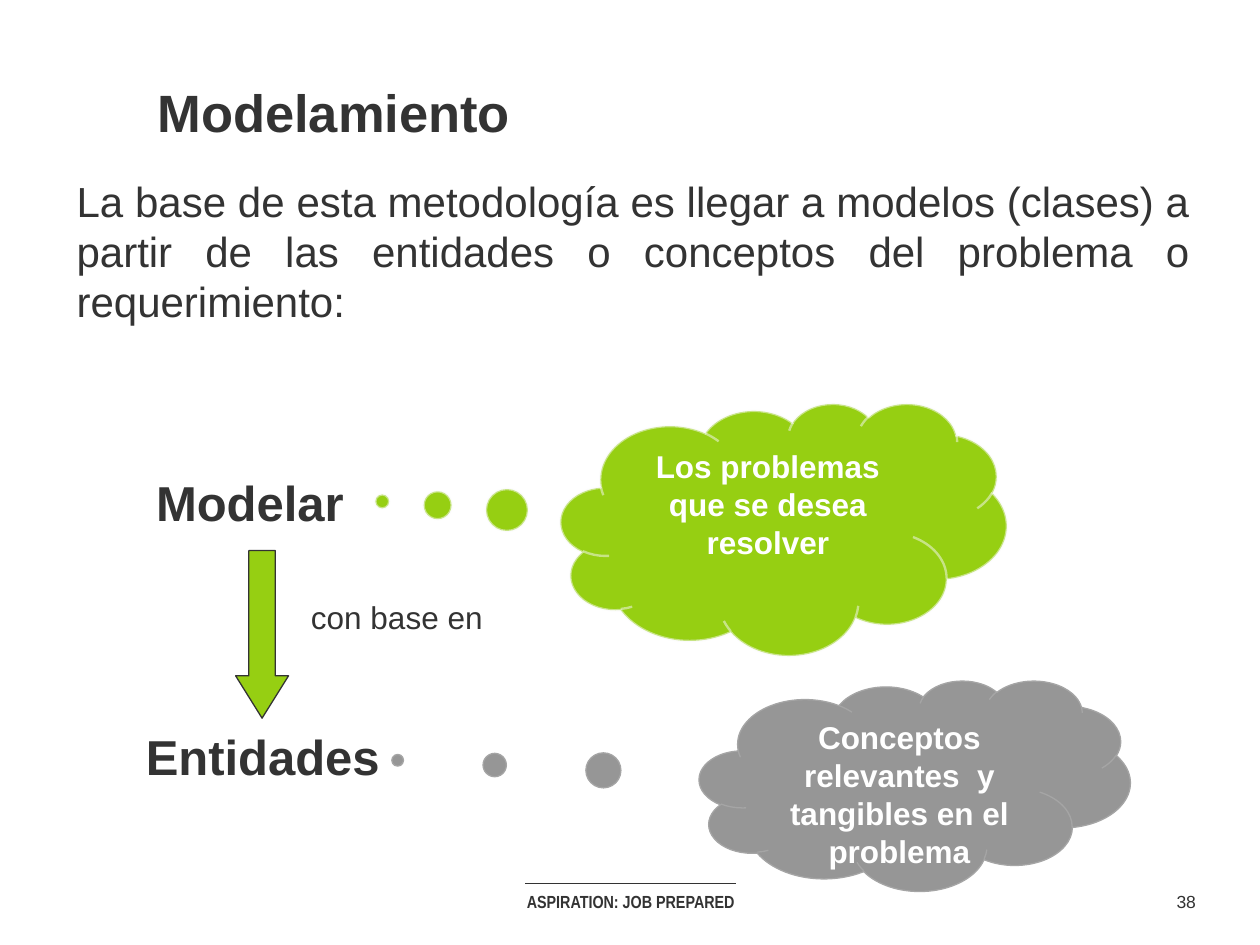
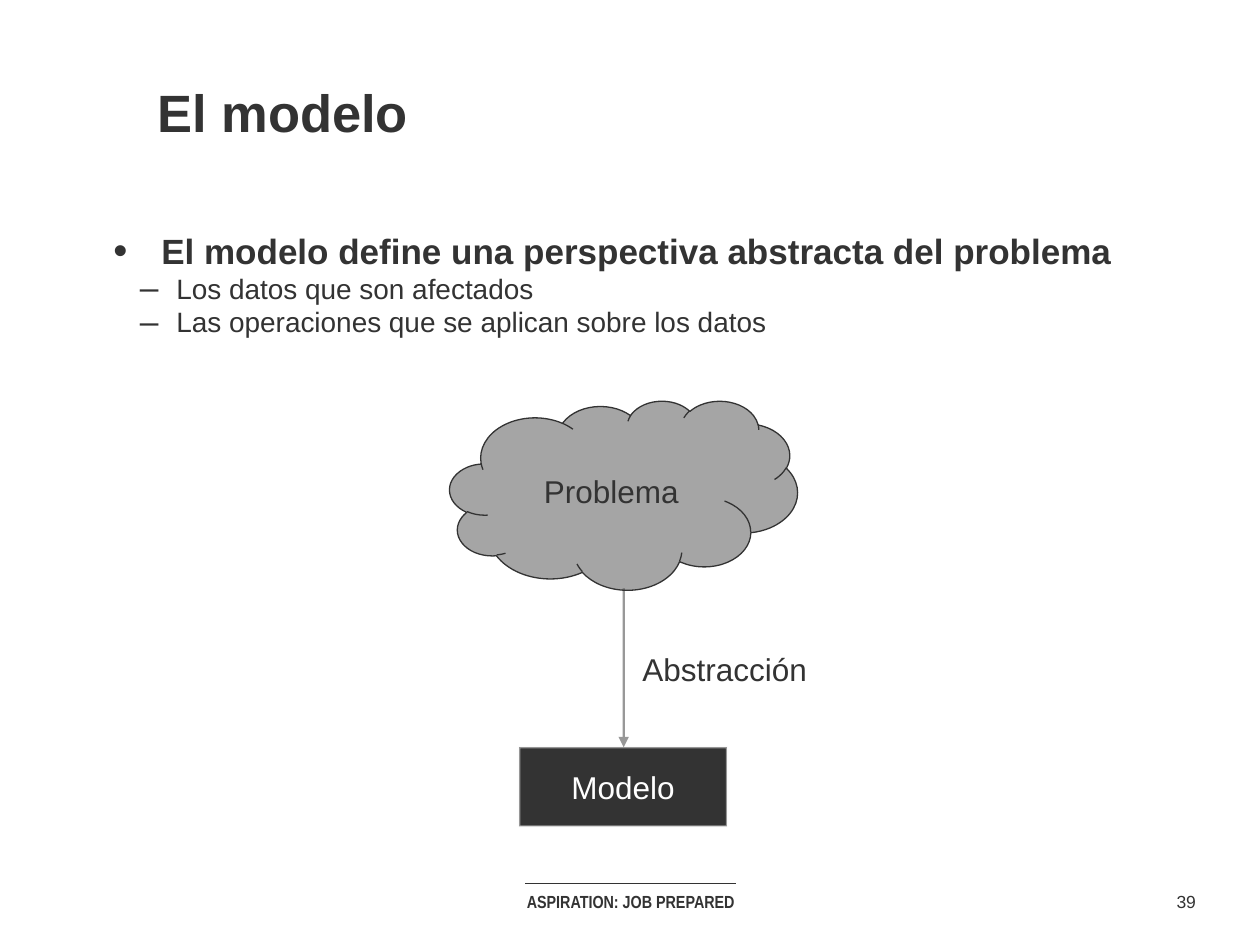
from dataclasses import dataclass

from lxml.etree import SubElement as Sub
from pptx import Presentation as Deck
from pptx.dml.color import RGBColor as Rgb
from pptx.enum.shapes import MSO_CONNECTOR as Link, MSO_SHAPE as Kind
from pptx.enum.text import MSO_ANCHOR as Anchor, MSO_AUTO_SIZE as Fit, PP_ALIGN as Align
from pptx.oxml.ns import qn
from pptx.util import Emu, Pt

SCALE = 9144


@dataclass(frozen=True)
class Theme:
    ink: str = "333333"
    line: str = "323232"
    green: str = "96CF12"
    gray: str = "969696"
    silver: str = "A5A5A5"
    pale: str = "F9F9F9"
    white: str = "FFFFFF"
    face: str = "Arial"
    narrow: str = "Arial Narrow"
    title: int = 30
    term: int = 28
    lead: int = 24
    point: int = 20
    label: int = 18
    item: int = 16
    foot: int = 10
    thin: float = 0.75
    thick: float = 1.35
    hair: float = 0.5
    gap: float = 1.0


T = Theme()


@dataclass(frozen=True)
class Box:
    x: int
    y: int
    w: int
    h: int


@dataclass(frozen=True)
class Style:
    size: int = T.label
    bold: bool = False
    color: str = T.ink
    face: str = T.face
    align: Align = Align.LEFT


@dataclass(frozen=True)
class Label:
    text: str
    box: Box
    style: Style


@dataclass(frozen=True)
class Form:
    kind: Kind
    box: Box
    fill: str
    edge: str
    width: float = T.thin
    clear: bool = False
    tweaks: tuple = ()
    text: str = ""
    style: Style = Style(align=Align.CENTER)
    anchor: Anchor = Anchor.MIDDLE


@dataclass(frozen=True)
class Bullet:
    text: str
    level: int
    mark: str
    ratio: int
    left: int
    hang: int
    style: Style


def px(n: int) -> Emu:
    return Emu(n * SCALE)


def place(shape, box: Box) -> None:
    shape.left, shape.top = px(box.x), px(box.y)
    shape.width, shape.height = px(box.w), px(box.h)


def frame(shape, anchor=Anchor.TOP, side=10, edge=5):
    tf = shape.text_frame
    tf.word_wrap, tf.auto_size, tf.vertical_anchor = True, Fit.NONE, anchor
    tf.margin_left = tf.margin_right = px(side)
    tf.margin_top = tf.margin_bottom = px(edge)
    return tf


def write(para, text: str, style: Style) -> None:
    para.text, para.alignment = text, style.align
    para.line_spacing, para.space_before = T.gap, Pt(0)
    font = para.font
    font.name, font.size, font.bold = style.face, Pt(style.size), style.bold
    font.color.rgb = Rgb.from_string(style.color)


def stroke(shape, color: str, width: float, clear=False) -> None:
    shape.line.color.rgb = Rgb.from_string(color)
    shape.line.width = Pt(width)
    if clear:
        tint = shape.element.spPr.find(qn("a:ln")).find(".//" + qn("a:srgbClr"))
        Sub(tint, qn("a:alpha"), val="50000")


def label(slide, item: Label) -> None:
    b = item.box
    shape = slide.shapes.add_textbox(px(b.x), px(b.y), px(b.w), px(b.h))
    write(frame(shape).paragraphs[0], item.text, item.style)


def form(slide, item: Form) -> None:
    b = item.box
    shape = slide.shapes.add_shape(item.kind, px(b.x), px(b.y), px(b.w), px(b.h))
    shape.shadow.inherit = False
    for i, tweak in enumerate(item.tweaks):
        shape.adjustments[i] = tweak
    shape.fill.solid()
    shape.fill.fore_color.rgb = Rgb.from_string(item.fill)
    stroke(shape, item.edge, item.width, item.clear)
    if item.text:
        write(frame(shape, item.anchor).paragraphs[0], item.text, item.style)


def rule(slide, x: int, y: int, x2: int, y2: int, color: str, width: float,
         clear=False, arrow=False) -> None:
    shape = slide.shapes.add_connector(Link.STRAIGHT, px(x), px(y), px(x2), px(y2))
    stroke(shape, color, width, clear)
    props = shape.element.spPr
    if arrow:
        Sub(props.find(qn("a:ln")), qn("a:tailEnd"), type="triangle")
    Sub(props, qn("a:effectLst"))


def start(deck, index: int, title: str, page: int):
    slide = deck.slides.add_slide(deck.slide_layouts[index])
    head = slide.shapes.title
    place(head, Box(125, 58, 875, 61))
    write(frame(head, Anchor.MIDDLE, side=0).paragraphs[0], title, Style(T.title, True))
    mid = Align.CENTER
    label(slide, Label("ASPIRATION: JOB PREPARED", Box(367, 702, 267, 27),
                       Style(T.foot, True, face=T.narrow, align=mid)))
    rule(slide, 417, 701, 584, 701, T.ink, T.hair)
    label(slide, Label(str(page), Box(923, 702, 37, 27), Style(T.foot, align=mid)))
    return slide


def fill(slide, box: Box, items: list[Bullet]) -> None:
    body = slide.placeholders[1]
    place(body, box)
    tf = frame(body, side=0, edge=0)
    for i, item in enumerate(items):
        para = tf.add_paragraph() if i else tf.paragraphs[0]
        para.level = item.level
        props = para._p.get_or_add_pPr()
        props.set("marL", str(px(item.left)))
        props.set("indent", str(-px(item.hang)))
        Sub(props, qn("a:buSzPct"), val=str(item.ratio * 1000))
        Sub(props, qn("a:buFont"), typeface=T.face)
        Sub(props, qn("a:buChar"), char=item.mark)
        write(para, item.text, item.style)


def method(deck) -> None:
    slide = start(deck, 5, "Modelamiento", 38)
    term = Style(T.term, True)
    cloud = Style(T.label, True, T.white, align=Align.CENTER)
    for item in (
        Label("La base de esta metodología es llegar a modelos (clases) a partir de las "
              "entidades o conceptos del problema o requerimiento:",
              Box(51, 134, 903, 311), Style(T.lead, align=Align.JUSTIFY)),
        Label("Modelar", Box(114, 370, 181, 57), term),
        Label("con base en", Box(237, 470, 200, 40), Style()),
        Label("Entidades", Box(106, 572, 217, 57), term),
    ):
        label(slide, item)
    for item in (
        Form(Kind.DOWN_ARROW, Box(187, 437, 42, 133), T.green, T.ink, tweaks=(0.5, 0.8)),
        Form(Kind.CLOUD_CALLOUT, Box(445, 320, 354, 200), T.green, T.pale, T.thick, True,
             (-0.9, -0.11), "Los problemas que se desea resolver", cloud, Anchor.TOP),
        Form(Kind.CLOUD_CALLOUT, Box(555, 540, 342, 167), T.gray, T.silver,
             tweaks=(-1.2, -0.12), text="Conceptos relevantes  y tangibles en el problema",
             style=cloud, anchor=Anchor.TOP),
    ):
        form(slide, item)


def model(deck) -> None:
    slide = start(deck, 1, "El modelo", 39)
    facts = ("Los datos que son afectados", "Las operaciones que se aplican sobre los datos")
    fill(slide, Box(90, 182, 844, 172), [
        Bullet("El modelo define una perspectiva abstracta del problema",
               0, "•", 115, 38, 38, Style(T.point, True)),
        *(Bullet(fact, 1, "–", 120, 50, 29, Style(T.item)) for fact in facts),
    ])
    form(slide, Form(Kind.CLOUD, Box(357, 318, 276, 150), T.silver, T.ink, text="Problema"))
    form(slide, Form(Kind.RECTANGLE, Box(412, 593, 165, 63), T.ink, T.pale, T.thick, True,
                     text="Modelo", style=Style(color=T.white, align=Align.CENTER)))
    rule(slide, 495, 467, 495, 593, T.line, T.thick, True, True)
    label(slide, Label("Abstracción", Box(500, 511, 152, 40), Style()))


def main() -> None:
    deck = Deck()
    deck.slide_width, deck.slide_height = px(1000), px(750)
    method(deck)
    model(deck)
    deck.save("out.pptx")


if __name__ == "__main__":
    main()
